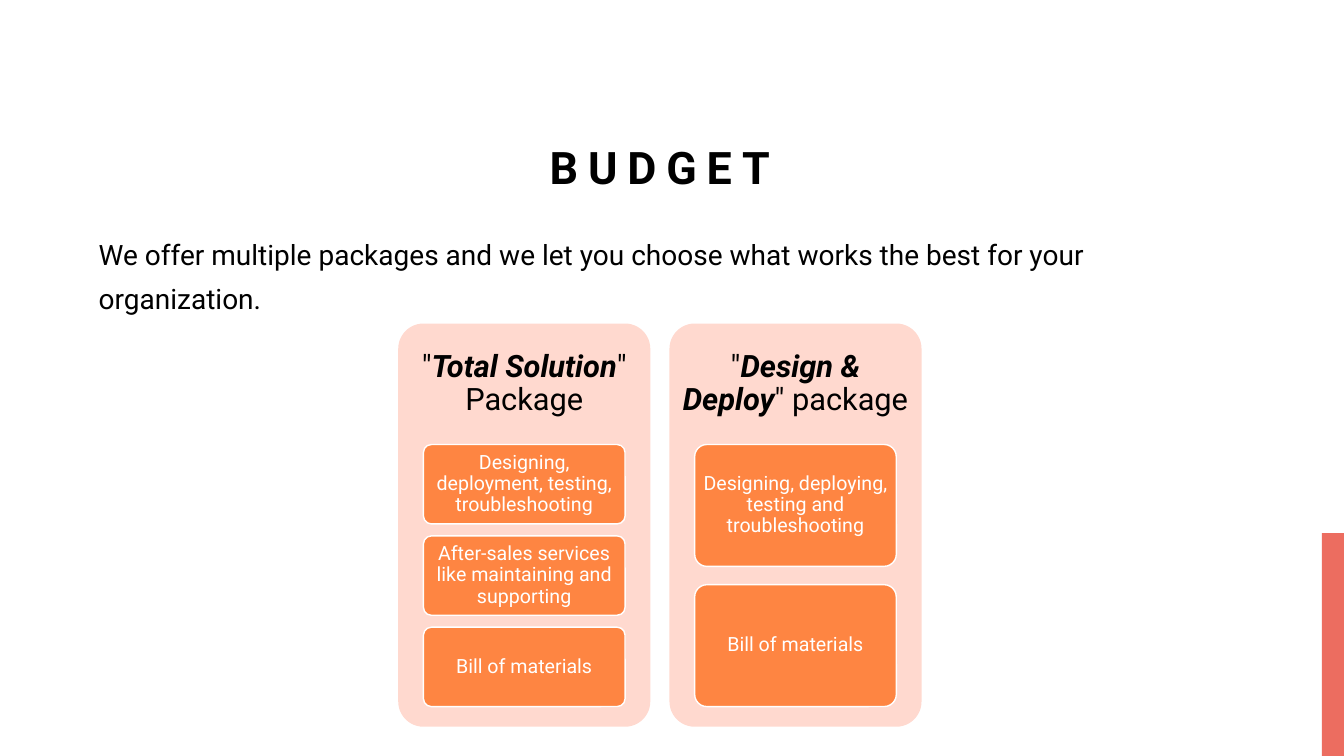
from pptx import Presentation
from pptx.dml.color import RGBColor
from pptx.enum import shapes, text
from pptx.util import Inches, Pt

BLACK = RGBColor(0x00, 0x00, 0x00)
WHITE = RGBColor(0xFF, 0xFF, 0xFF)
CORAL = RGBColor(0xEC, 0x6D, 0x60)
PEACH = RGBColor(0xFF, 0xD9, 0xCF)
ORANGE = RGBColor(0xFE, 0x85, 0x42)

PACKAGES = [
    (['"', "Total Solution", '" Package'],
     ["Designing, deployment, testing, troubleshooting",
      "After-sales services like maintaining and supporting",
      "Bill of materials"]),
    (['"', "Design & Deploy", '" package'],
     ["Designing, deploying, testing and troubleshooting",
      "Bill of materials"]),
]


def add_block(kind, left, top, width, height, fill):
    block = page.shapes.add_shape(
        kind, Inches(left), Inches(top), Inches(width), Inches(height))
    block.shadow.inherit = False
    block.fill.solid()
    block.fill.fore_color.rgb = fill
    block.line.fill.background()
    return block


def format_text(frame, size, color, align, spacing, anchor):
    frame.word_wrap = True
    frame.auto_size = text.MSO_AUTO_SIZE.NONE
    frame.vertical_anchor = anchor
    para = frame.paragraphs[0]
    para.alignment = align
    para.line_spacing = spacing
    for span in para.runs:
        span.font.name = "Roboto"
        span.font.size = Pt(size)
        span.font.color.rgb = color
    return para


deck = Presentation()
deck.slide_width, deck.slide_height = Inches(13.33), Inches(7.5)
page = deck.slides.add_slide(deck.slide_layouts[5])
CENTER, LEFT = text.PP_ALIGN.CENTER, text.PP_ALIGN.LEFT
TOP, MIDDLE, BOTTOM = (
    text.MSO_ANCHOR.TOP, text.MSO_ANCHOR.MIDDLE, text.MSO_ANCHOR.BOTTOM)

# Accent bar at the right edge
add_block(shapes.MSO_SHAPE.RECTANGLE, 13.11, 5.29, 0.22, 2.21, CORAL)

# Title
title = page.shapes.title
title.left, title.top = Inches(0.88), Inches(0.4)
title.width, title.height = Inches(11.33), Inches(1.57)
title.text_frame.text = "BUDGET"
para = format_text(title.text_frame, 32, BLACK, CENTER, 1.2, BOTTOM)
para.runs[0].font.bold = True
para.runs[0].font._element.set("spc", "700")

# Introduction
intro = page.shapes.add_textbox(
    Inches(0.88), Inches(2.21), Inches(11.33), Inches(1))
intro.text_frame.text = (
    "We offer multiple packages and we let you choose what works the best "
    "for your organization.")
para = format_text(intro.text_frame, 20, BLACK, LEFT, 1.3, TOP)
para.space_before = Pt(10)

# Package cards, each with its services sharing the same total height
CARD_TOP, CARD_WIDTH, CARD_HEIGHT = 3.21, 2.5, 4
HEADING_HEIGHT, SERVICES_HEIGHT, GAP_RATIO = 1.2, 2.6, 0.15
for column, (heading, services) in enumerate(PACKAGES):
    left = 3.95 + column * 2.69
    card = add_block(shapes.MSO_SHAPE.ROUNDED_RECTANGLE,
                     left, CARD_TOP, CARD_WIDTH, CARD_HEIGHT, PEACH)
    card.adjustments[0] = 0.1

    box = page.shapes.add_textbox(Inches(left), Inches(CARD_TOP),
                                  Inches(CARD_WIDTH), Inches(HEADING_HEIGHT))
    frame = box.text_frame
    frame.margin_left = frame.margin_right = Inches(0.09)
    frame.margin_top = frame.margin_bottom = Inches(0.09)
    for part in heading:
        frame.paragraphs[0].add_run().text = part
    para = format_text(frame, 22, BLACK, CENTER, 0.9, MIDDLE)
    para.runs[1].font.bold = para.runs[1].font.italic = True

    count = len(services)
    height = SERVICES_HEIGHT / (count + GAP_RATIO * (count - 1))
    for row, service in enumerate(services):
        top = CARD_TOP + HEADING_HEIGHT + row * height * (1 + GAP_RATIO)
        box = add_block(shapes.MSO_SHAPE.ROUNDED_RECTANGLE,
                        left + 0.25, top, 2, height, ORANGE)
        box.adjustments[0] = 0.1
        box.line.color.rgb = WHITE
        box.line.width = Pt(1)
        frame = box.text_frame
        frame.margin_left = frame.margin_right = Inches(0.04)
        frame.margin_top = frame.margin_bottom = Inches(0.03)
        frame.text = service
        format_text(frame, 14, WHITE, CENTER, 0.9, MIDDLE)

deck.save("out.pptx")
